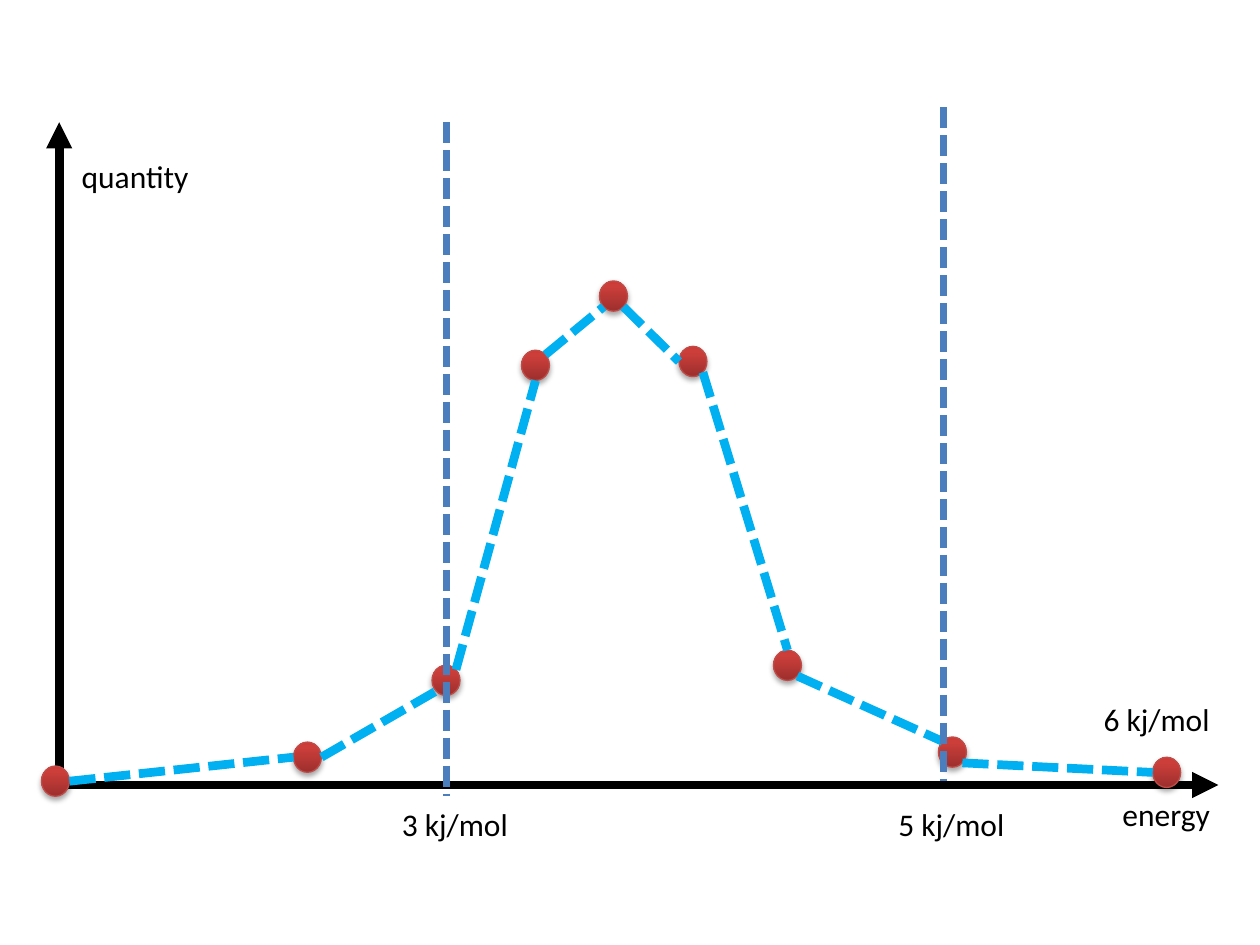
from copy import deepcopy

from lxml.etree import SubElement
from pptx import Presentation
from pptx.dml.color import RGBColor as RGB
from pptx.enum.dml import MSO_LINE as Dash
from pptx.enum.shapes import MSO_CONNECTOR as Conn, MSO_SHAPE as Shape
from pptx.enum.text import MSO_AUTO_SIZE as Fit
from pptx.oxml import parse_xml
from pptx.oxml.ns import nsdecls, qn
from pptx.util import Pt

HEX = {"axis": "000000", "text": "000000", "curve": "00B0F0",
       "limit": "4B7EBC", "rim": "BF4C48"}
GLOW = [(0, "9C2F2D"), (0.8, "CB3E3A"), (1, "CE3B37")]

ORIGIN = (33.84, 448.56)
AXES = [(696.24, 448.56), (33.84, 69.84)]
AXIS_NAMES = [("energy", 634.3, 450.7, 65.5), ("quantity", 39.6, 86.4, 76.3)]
LAST = ("6 kj/mol", 623.5, 396.7, 75.6)

# x, top and bottom of each dashed limit, then its label
LIMITS = [
    (254.88, 69.84, 455.04, ("3 kj/mol", 222.5, 456.5, 75.6)),
    (539.28, 61.2, 446.4, ("5 kj/mol", 506.2, 456.5, 75.6)),
]

DOT_W, DOT_H = 16, 17.3
DOTS = [(31.7, 446.4), (175.7, 432.7), (254.9, 388.8), (306, 208.8),
        (350.6, 169.2), (396, 206.6), (450, 380.2), (544.3, 429.8),
        (666.7, 441.4)]

# Where each piece of the curve leaves one dot and meets the next
LINKS = [("E", "W"), ("E", "SW"), ("NE", "S"), ("NE", "SW"),
         ("SE", "W"), ("SE", "N"), ("SE", "NW"), ("SE", "W")]
STEPS = {"N": (0, -1), "S": (0, 1), "E": (1, 0), "W": (-1, 0)}


def rim_point(dot, side):
    """Return the point on a dot's rim at a compass side."""
    scale = 0.5 / len(side) ** 0.5
    dx = sum(STEPS[c][0] for c in side) * scale * DOT_W
    dy = sum(STEPS[c][1] for c in side) * scale * DOT_H
    return dot[0] + dx, dot[1] + dy


def add_line(parts, start, end, color, width, dash=None, arrow=False):
    line = parts.add_connector(Conn.STRAIGHT, *map(Pt, start + end))
    line.line.color.rgb = RGB.from_string(HEX[color])
    line.line.width = Pt(width)
    if dash:
        line.line.dash_style = dash
    props = line._element.spPr
    if arrow:
        SubElement(props.find(qn("a:ln")), qn("a:tailEnd"), type="triangle")
    SubElement(props, qn("a:effectLst"))


def add_label(parts, text, left, top, width):
    box = parts.add_textbox(*map(Pt, (left, top, width, 29)))
    frame = box.text_frame
    frame.word_wrap = False
    frame.auto_size = Fit.SHAPE_TO_FIT_TEXT
    run = frame.paragraphs[0].add_run()
    run.text = text
    for key, value in {"name": "Calibri", "size": Pt(18)}.items():
        setattr(run.font, key, value)
    run.font.color.rgb = RGB.from_string(HEX["text"])


def add_dot(parts, x, y):
    dot = parts.add_shape(Shape.OVAL, Pt(x - DOT_W / 2), Pt(y - DOT_H / 2),
                          Pt(DOT_W), Pt(DOT_H))
    props = dot._element.spPr
    dot.fill.gradient()
    dot.fill.gradient_angle = 90
    stops = props.find(".//" + qn("a:gsLst"))
    stops.append(deepcopy(stops[-1]))
    for stop, (place, color) in zip(dot.fill.gradient_stops, GLOW):
        stop.position = place
        stop.color.rgb = RGB.from_string(color)
    dot.line.color.rgb = RGB.from_string(HEX["rim"])
    dot.line.width = Pt(0.75)
    props.append(parse_xml(
        f'<a:effectLst {nsdecls("a")}><a:outerShdw blurRad="{Pt(3.1)}" '
        f'dist="{Pt(1.8)}" dir="5400000" rotWithShape="0">'
        '<a:srgbClr val="000000"><a:alpha val="35000"/></a:srgbClr>'
        '</a:outerShdw></a:effectLst>'))


def main():
    deck = Presentation()
    deck.slide_width, deck.slide_height = Pt(720), Pt(540)
    slide = deck.slides.add_slide(deck.slide_layouts[6])
    parts = slide.shapes.add_group_shape().shapes

    for tip in AXES:
        add_line(parts, ORIGIN, tip, "axis", 5, arrow=True)
    for name in AXIS_NAMES:
        add_label(parts, *name)
    for dot in DOTS:
        add_dot(parts, *dot)
    for a, b, (out, into) in zip(DOTS, DOTS[1:], LINKS):
        add_line(parts, rim_point(a, out), rim_point(b, into),
                 "curve", 5, Dash.SQUARE_DOT)
    add_label(parts, *LAST)
    for x, top, bottom, label in LIMITS:
        add_line(parts, (x, top), (x, bottom), "limit", 4, Dash.SQUARE_DOT)
        add_label(parts, *label)

    deck.save("out.pptx")


if __name__ == "__main__":
    main()
